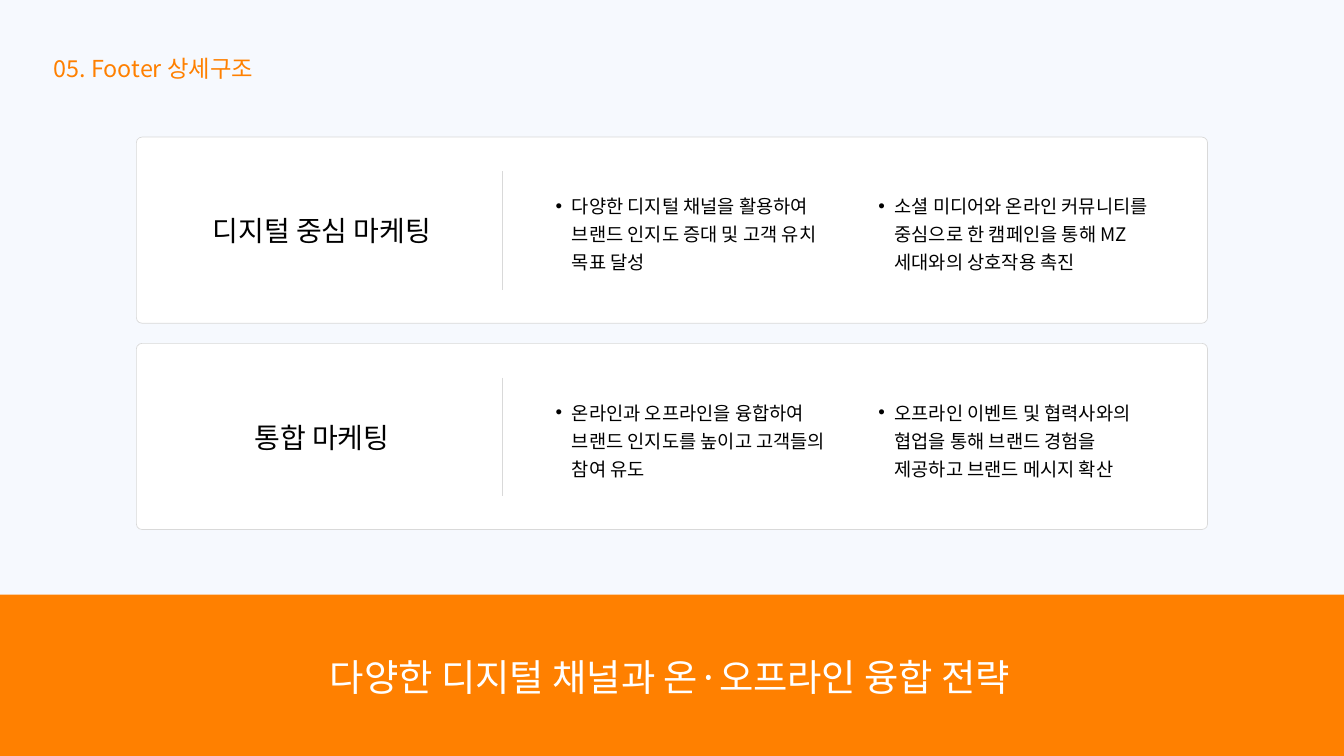
from lxml import etree
from pptx import Presentation
from pptx.dml.color import RGBColor
from pptx.enum.shapes import MSO_CONNECTOR, MSO_SHAPE
from pptx.enum.text import MSO_ANCHOR, MSO_AUTO_SIZE, PP_ALIGN
from pptx.oxml.ns import qn
from pptx.util import Pt

PX = 9144  # 100 px to the inch
FONT = "Noto Sans CJK KR"
COLORS = {
    "background": "F6F9FE",
    "accent": "FF8000",
    "card": "FFFFFF",
    "border": "D9D9D9",
    "text": "000000",
}
LEFT, CENTER = PP_ALIGN.LEFT, PP_ALIGN.CENTER
TOP = MSO_ANCHOR.TOP
GROW = MSO_AUTO_SIZE.SHAPE_TO_FIT_TEXT
RECTANGLE, ROUNDED = MSO_SHAPE.RECTANGLE, MSO_SHAPE.ROUNDED_RECTANGLE
STRAIGHT = MSO_CONNECTOR.STRAIGHT


def color(name):
    return RGBColor.from_string(COLORS[name])


def write(box, bounds, text, size, leading, ink="text", align=LEFT, bullet=False):
    """Place a text box or placeholder and fill it with one paragraph."""
    box.left, box.top, box.width, box.height = [value * PX for value in bounds]
    frame = box.text_frame
    frame.margin_left = frame.margin_top = 0
    frame.margin_right = frame.margin_bottom = 0
    frame.word_wrap = True
    frame.auto_size = GROW
    frame.vertical_anchor = TOP
    para = frame.paragraphs[0]
    para.alignment = align
    para.line_spacing = Pt(leading)
    para.space_before = Pt(0)
    if bullet:
        para.level = 1
        properties = para._p.get_or_add_pPr()
        properties.set("marL", str(47 * PX))
        properties.set("indent", str(-24 * PX))
        etree.SubElement(properties, qn("a:buFont")).set("typeface", "Arial")
        etree.SubElement(properties, qn("a:buChar")).set("char", "•")
    span = para.add_run()
    span.text = text
    span.font.name = FONT
    span.font.size = Pt(size)
    span.font.color.rgb = color(ink)
    east_asian = etree.SubElement(span._r.get_or_add_rPr(), qn("a:ea"))
    east_asian.set("typeface", FONT)


deck = Presentation()
deck.slide_width = 2000 * PX
deck.slide_height = 1125 * PX
page = deck.slides.add_slide(deck.slide_layouts[5])
page.background.fill.solid()
page.background.fill.fore_color.rgb = color("background")
shapes = page.shapes

write(shapes.title, (80, 74, 536, 45), "05. Footer 상세구조", 25, 35, "accent")

# Closing message band
band = shapes.add_shape(RECTANGLE, 0, 885 * PX, 2000 * PX, 240 * PX)
band.shadow.inherit = False
band.fill.solid()
band.fill.fore_color.rgb = color("accent")
band.line.fill.background()
write(shapes.add_textbox(0, 0, 0, 0), (491, 963, 1474, 76),
      "다양한 디지털 채널과 온·오프라인 융합 전략", 40, 56, "card")

# Strategy cards
CARD_TOP, CARD_HEIGHT, CARD_PITCH = 204, 277, 307
BULLET_COLUMNS = [(804, 433), (1284, 439)]
strategies = [
    ("디지털 중심 마케팅", [
        "다양한 디지털 채널을 활용하여 브랜드 인지도 증대 및 고객 유치 목표 달성",
        "소셜 미디어와 온라인 커뮤니티를 중심으로 한 캠페인을 통해 MZ 세대와의 상호작용 촉진",
    ]),
    ("통합 마케팅", [
        "온라인과 오프라인을 융합하여 브랜드 인지도를 높이고 고객들의 참여 유도",
        "오프라인 이벤트 및 협력사와의 협업을 통해 브랜드 경험을 제공하고 브랜드 메시지 확산",
    ]),
]

for index, (heading, points) in enumerate(strategies):
    top = CARD_TOP + index * CARD_PITCH
    card = shapes.add_shape(ROUNDED, 203 * PX, top * PX, 1594 * PX, CARD_HEIGHT * PX)
    card.adjustments[0] = 0.03
    card.shadow.inherit = False
    card.fill.solid()
    card.fill.fore_color.rgb = color("card")
    card.line.color.rgb = color("border")
    card.line.width = Pt(0.75)

    write(shapes.add_textbox(0, 0, 0, 0), (266, top + 106, 426, 59),
          heading, 30, 42, align=CENTER)
    for (left, width), point in zip(BULLET_COLUMNS, points):
        write(shapes.add_textbox(0, 0, 0, 0), (left, top + 78, width, 124),
              point, 20, 30, bullet=True)

    divider = shapes.add_connector(STRAIGHT, 747 * PX, (top + 51) * PX,
                                   747 * PX, (top + 227) * PX)
    divider.line.color.rgb = color("border")
    divider.line.width = Pt(0.75)
    etree.SubElement(divider._element.spPr, qn("a:effectLst"))

deck.save("out.pptx")
